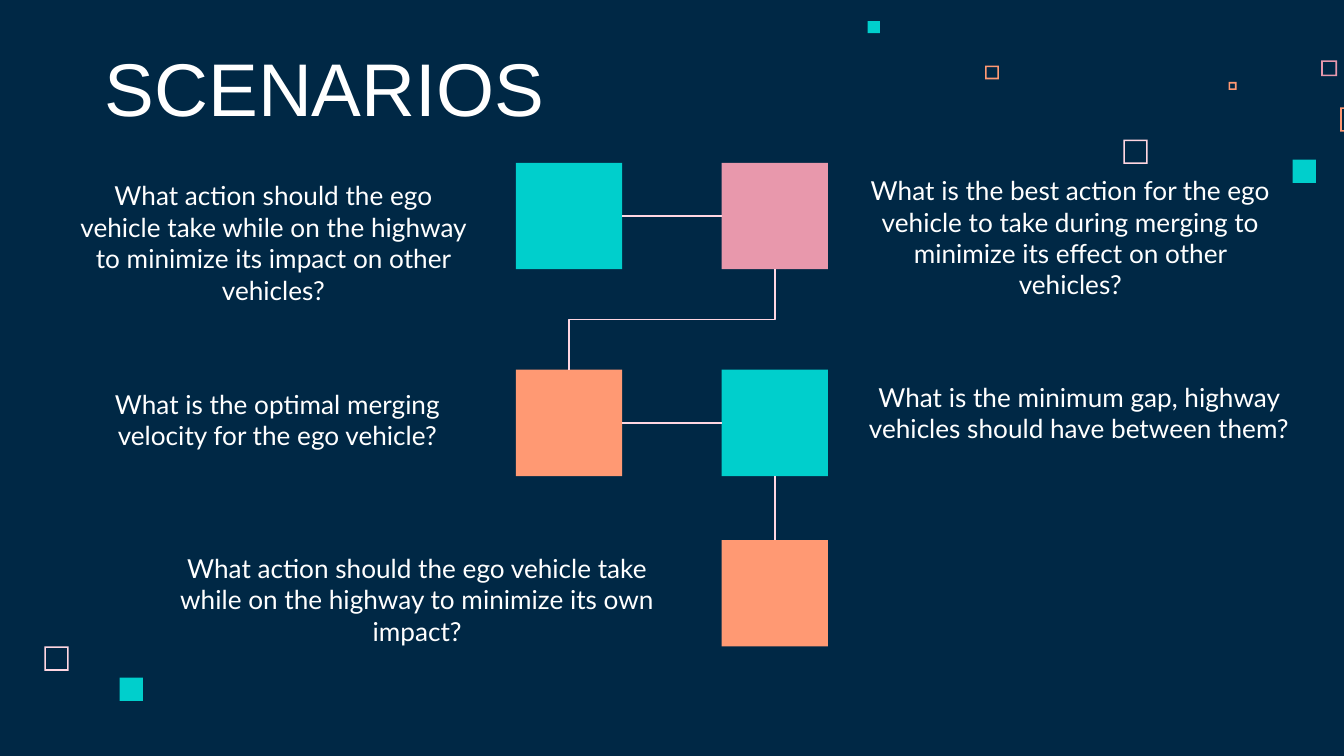
from pptx import Presentation
from pptx.dml.color import RGBColor
from pptx.enum.shapes import MSO_CONNECTOR, MSO_SHAPE
from pptx.enum.text import MSO_ANCHOR, MSO_AUTO_SIZE, PP_ALIGN
from pptx.oxml.ns import qn
from pptx.util import Cm, Pt
from lxml.etree import SubElement

NAVY, WHITE, BLUSH = "002845", "FFFFFF", "FFD6E1"
TEAL, ROSE, PEACH = "00CFCC", "E898AC", "FF9973"

FRAME = dict(word_wrap=True, auto_size=MSO_AUTO_SIZE.NONE,
             margin_left=Cm(0.25), margin_right=Cm(0.25),
             margin_top=Cm(0.25), margin_bottom=Cm(0.25))
HEAD = dict(name="Arial", size=Pt(40), bold=False)
BODY = dict(name="Lato", size=Pt(14), bold=False)

SIDE = 2.01
COLS = 9.75, 13.64
ROWS = 3.08, 6.99, 10.21
TILES = [(0, 0, TEAL), (1, 0, ROSE), (0, 1, PEACH), (1, 1, TEAL), (1, 2, PEACH)]
TOP, LEFT, BOTTOM, RIGHT = range(4)

TEXTS = [
    (1.17, 3.15, 8, MSO_ANCHOR.TOP,
     "What action should the ego vehicle take while on the highway to minimize its impact on other vehicles?"),
    (16.05, 3.05, 8.36, MSO_ANCHOR.TOP,
     "What is the best action for the ego vehicle to take during merging to minimize its effect on other vehicles?"),
    (1.42, 7.09, 7.65, MSO_ANCHOR.TOP,
     "What is the optimal merging velocity for the ego vehicle?"),
    (16.1, 6.96, 8.59, MSO_ANCHOR.TOP,
     "What is the minimum gap, highway vehicles should have between them?"),
    (2.97, 10.67, 9.83, MSO_ANCHOR.BOTTOM,
     "What action should the ego vehicle take while on the highway to minimize its own impact?"),
]

SOLID = [(24.43, 3.02, 0.44, TEAL), (16.4, 0.4, 0.23, TEAL), (2.26, 12.81, 0.44, TEAL)]
HOLLOW = [(21.23, 2.64, 0.46, BLUSH), (24.97, 1.14, 0.3, ROSE),
          (23.22, 1.55, 0.15, PEACH), (25.33, 2.03, 0.46, PEACH),
          (18.62, 1.24, 0.26, PEACH), (0.84, 12.22, 0.46, BLUSH)]


def tint(code):
    return RGBColor.from_string(code)


def apply(item, style):
    for key, value in style.items():
        setattr(item, key, value)


def write(shape, text, style, align, anchor):
    frame = shape.text_frame
    frame.text = text
    apply(frame, FRAME)
    frame.vertical_anchor = anchor
    line = frame.paragraphs[0]
    line.alignment = align
    apply(line.font, style)
    line.font.color.rgb = tint(WHITE)


def square(slide, x, y, size, color, kind=MSO_SHAPE.RECTANGLE):
    shape = slide.shapes.add_shape(kind, Cm(x), Cm(y), Cm(size), Cm(size))
    shape.shadow.inherit = False
    shape.fill.solid()
    shape.fill.fore_color.rgb = tint(color)
    shape.line.fill.background()
    return shape


def decor(slide):
    for x, y, size, color in SOLID:
        square(slide, x, y, size, color)
    for x, y, size, color in HOLLOW:
        shape = square(slide, x, y, size, color, MSO_SHAPE.FRAME)
        shape.adjustments[0] = 0.03 / size


def link(slide, start, out, end, into, kind=MSO_CONNECTOR.STRAIGHT):
    wire = slide.shapes.add_connector(kind, 0, 0, 0, 0)
    wire.begin_connect(start, out)
    wire.end_connect(end, into)
    wire.line.color.rgb = tint(BLUSH)
    wire.line.width = Pt(0.75)
    SubElement(wire.element.spPr, qn("a:effectLst"))
    return wire


def turn(wire):
    wide, high = wire.width, wire.height
    shift = (wide - high) // 2
    apply(wire, dict(left=wire.left + shift, top=wire.top - shift,
                     width=high, height=wide))
    form = wire.element.spPr.find(qn("a:xfrm"))
    form.attrib.pop("flipH", None)
    form.set("rot", "5400000")


def chain(slide):
    one, two, three, four, five = [
        square(slide, COLS[col], ROWS[row], SIDE, color) for col, row, color in TILES]
    link(slide, one, RIGHT, two, LEFT)
    turn(link(slide, two, BOTTOM, three, TOP, MSO_CONNECTOR.ELBOW))
    link(slide, three, RIGHT, four, LEFT)
    link(slide, four, BOTTOM, five, TOP)


def title(slide, x, y, wide, high):
    head = slide.shapes.title
    apply(head, dict(left=Cm(x), top=Cm(y), width=Cm(wide), height=Cm(high)))
    write(head, "SCENARIOS", HEAD, PP_ALIGN.LEFT, MSO_ANCHOR.BOTTOM)


def labels(slide, high):
    for x, y, wide, anchor, text in TEXTS:
        box = slide.shapes.add_textbox(Cm(x), Cm(y), Cm(wide), Cm(high))
        write(box, text, BODY, PP_ALIGN.CENTER, anchor)


def main():
    deck = Presentation()
    apply(deck, dict(slide_width=Cm(25.4), slide_height=Cm(14.29)))
    slide = deck.slides.add_slide(deck.slide_layouts[5])
    slide.background.fill.solid()
    slide.background.fill.fore_color.rgb = tint(NAVY)
    decor(slide)
    title(slide, 1.73, 1.14, 16.36, 1.6)
    labels(slide, 1.8)
    chain(slide)
    deck.save("out.pptx")


if __name__ == "__main__":
    main()
